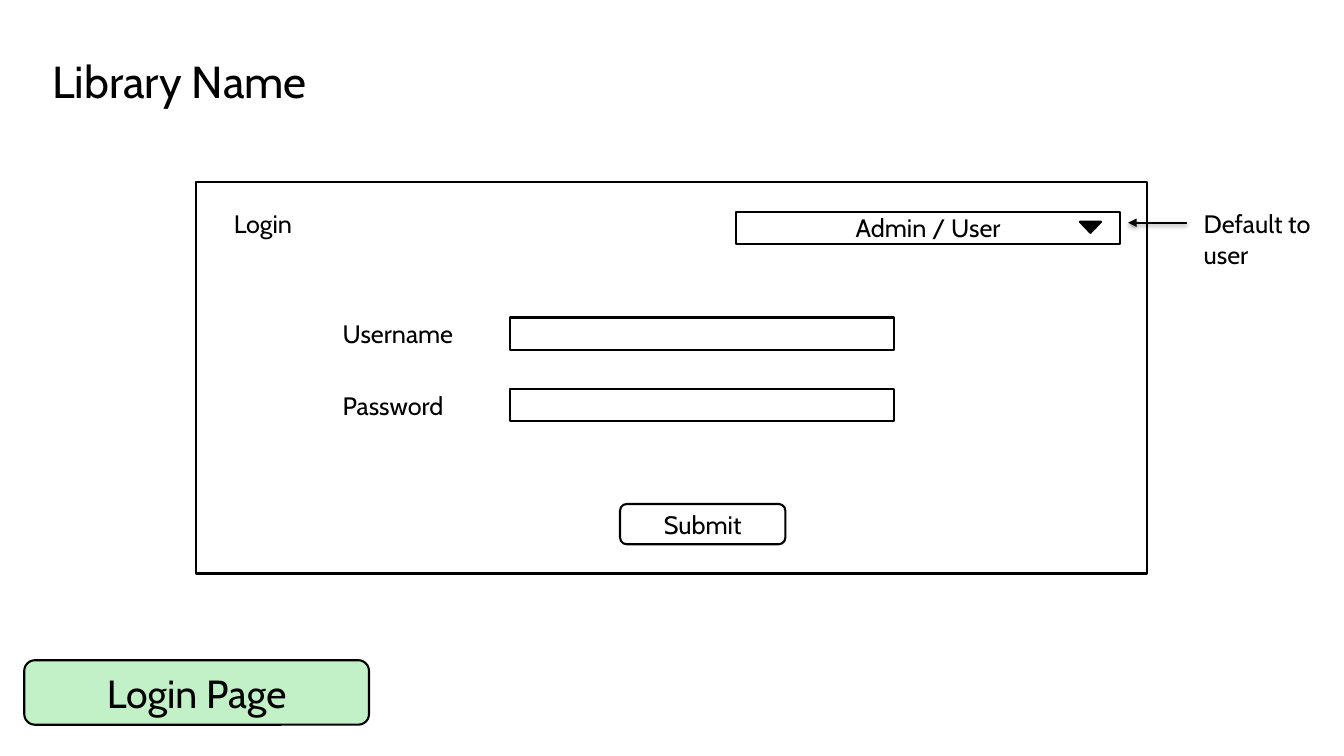
"""Build a wireframe slide of a library login page."""
from lxml.etree import SubElement
from pptx import Presentation
from pptx.dml.color import RGBColor
from pptx.enum.shapes import MSO_CONNECTOR as Connector, MSO_SHAPE as Shape
from pptx.enum.text import MSO_ANCHOR as Anchor, MSO_AUTO_SIZE as AutoSize, PP_ALIGN as Align
from pptx.oxml.ns import qn
from pptx.util import Inches, Pt

COLORS = {"ink": "000000", "paper": "FFFFFF", "green": "C2F1C8"}
FONT = "Cabin"


def write(shape, text, size=18, align=Align.LEFT, anchor=Anchor.TOP):
    frame = shape.text_frame
    frame.word_wrap = True
    frame.auto_size = AutoSize.NONE
    frame.vertical_anchor = anchor
    para = frame.paragraphs[0]
    para.alignment = align
    span = para.add_run()
    span.text = text
    span.font.name = FONT
    span.font.size = Pt(size)
    span.font.color.rgb = RGBColor.from_string(COLORS["ink"])


def add_box(kind, left, top, width, height, fill="paper", text=None, size=18):
    box = page.shapes.add_shape(kind, Inches(left), Inches(top), Inches(width), Inches(height))
    box.shadow.inherit = False
    box.fill.solid()
    box.fill.fore_color.rgb = RGBColor.from_string(COLORS[fill])
    box.line.color.rgb = RGBColor.from_string(COLORS["ink"])
    box.line.width = Pt(1.5)
    if text:
        write(box, text, size, Align.CENTER, Anchor.MIDDLE)
    return box


deck = Presentation()
deck.slide_width = Inches(13.33)
deck.slide_height = Inches(7.5)
page = deck.slides.add_slide(deck.slide_layouts[5])

title = page.shapes.title
title.left, title.top = Inches(0.42), Inches(0.48)
title.width, title.height = Inches(5.72), Inches(0.64)
write(title, "Library Name", 32)

add_box(Shape.RECTANGLE, 1.94, 1.81, 9.44, 3.88)
add_box(Shape.RECTANGLE, 7.3, 2.1, 3.81, 0.32, text="Admin / User")
dropdown_mark = add_box(Shape.ISOSCELES_TRIANGLE, 10.71, 2.2, 0.21, 0.11, "ink")
dropdown_mark.rotation = 180

labels = [
    ("Login", 2.22, 2.02, 3.62, 0.4),
    ("Username", 3.3, 3.11, 2.01, 0.4),
    ("Password", 3.3, 3.82, 2.01, 0.4),
    ("Default to user", 11.84, 2.02, 1.37, 0.71),
]
for text, left, top, width, height in labels:
    label = page.shapes.add_textbox(Inches(left), Inches(top), Inches(width), Inches(height))
    write(label, text)

for field_top in (3.15, 3.86):
    add_box(Shape.RECTANGLE, 5.06, field_top, 3.81, 0.32)

add_box(Shape.ROUNDED_RECTANGLE, 6.15, 5, 1.64, 0.4, text="Submit")
add_box(Shape.ROUNDED_RECTANGLE, 0.24, 6.55, 3.42, 0.64, "green", "Login Page", 28)

arrow = page.shapes.add_connector(
    Connector.STRAIGHT, Inches(11.77), Inches(2.21), Inches(11.19), Inches(2.21))
arrow.line.color.rgb = RGBColor.from_string(COLORS["ink"])
arrow.line.width = Pt(1.5)
SubElement(arrow.line._get_or_add_ln(), qn("a:tailEnd"), type="triangle")
effects = SubElement(arrow._element.spPr, qn("a:effectLst"))
shadow = SubElement(effects, qn("a:outerShdw"), blurRad=str(Pt(3.1)), dist=str(Pt(1.6)),
                    dir="5400000", rotWithShape="0")
shade = SubElement(shadow, qn("a:srgbClr"), val=COLORS["ink"])
SubElement(shade, qn("a:alpha"), val="38000")

deck.save("out.pptx")
